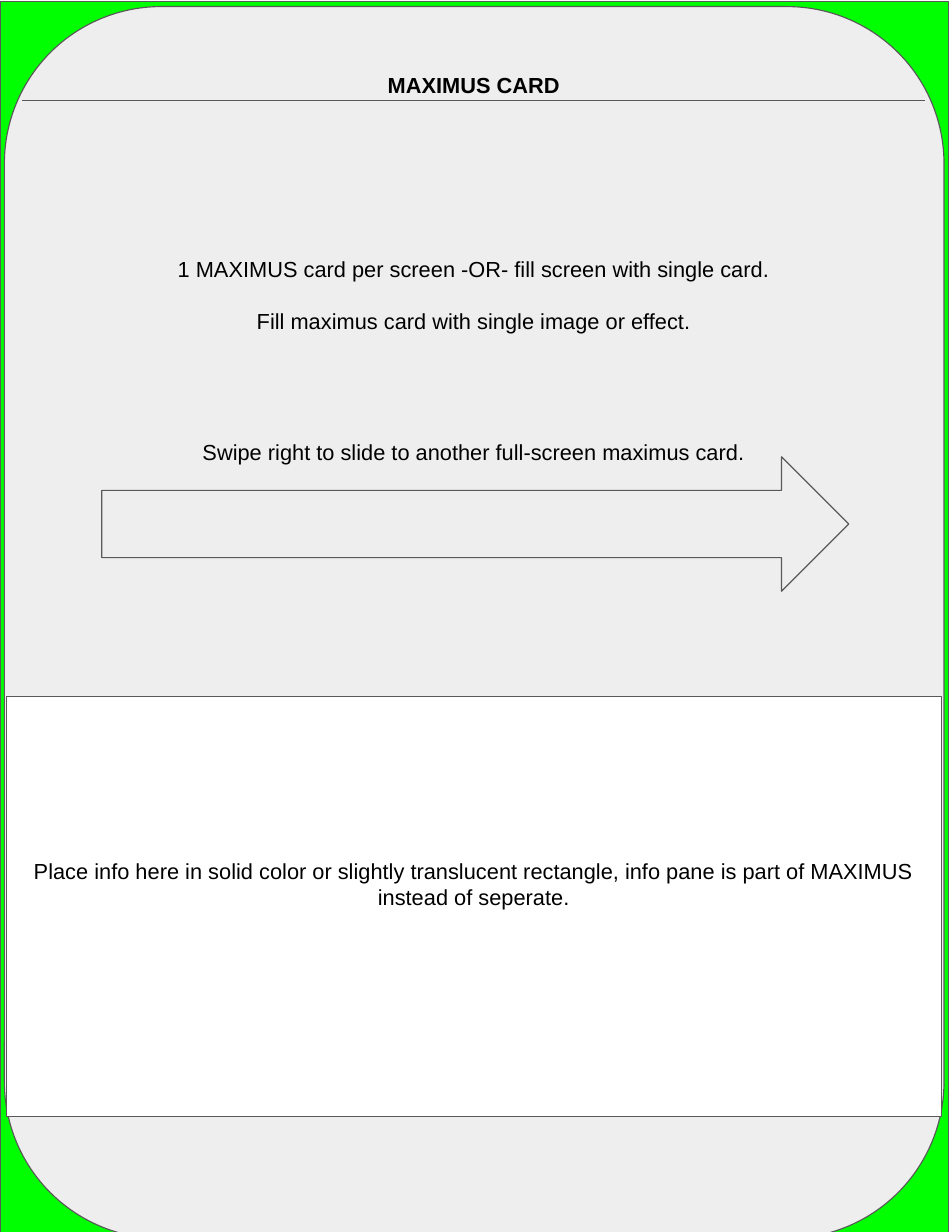
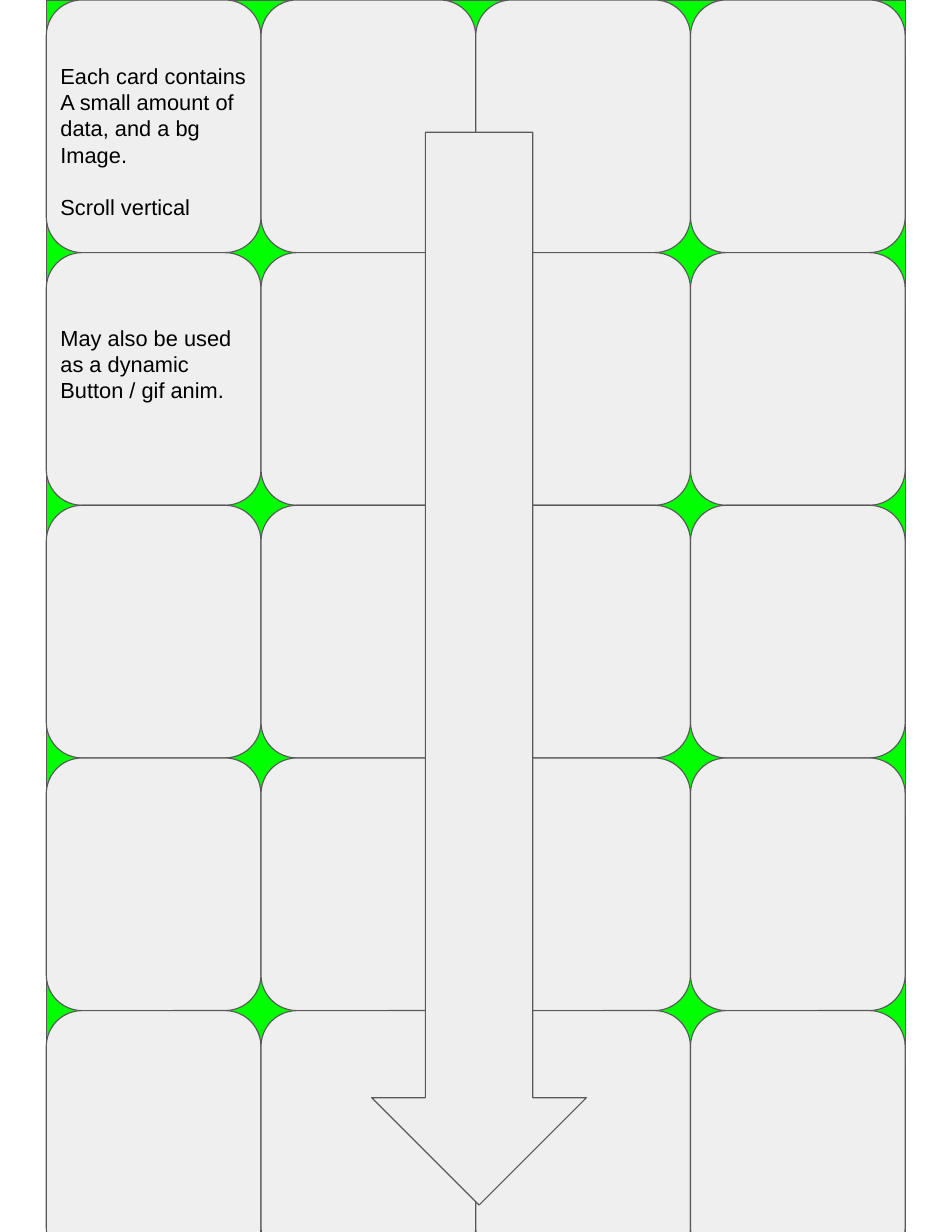
from lxml.etree import SubElement
from pptx import Presentation
from pptx.dml.color import RGBColor
from pptx.enum.shapes import MSO_CONNECTOR, MSO_SHAPE
from pptx.enum.text import MSO_ANCHOR, MSO_AUTO_SIZE, PP_ALIGN
from pptx.oxml.ns import qn
from pptx.util import Cm, Pt

# Shared look
GREEN = RGBColor(0x00, 0xFF, 0x00)
GREY = RGBColor(0xEE, 0xEE, 0xEE)
CARD = RGBColor(0xEF, 0xEF, 0xEF)
WHITE = RGBColor(0xFF, 0xFF, 0xFF)
BLACK = RGBColor(0x00, 0x00, 0x00)
EDGE = RGBColor(0x59, 0x59, 0x59)
WIDE, HIGH = 21.59, 27.94
PITCH = 16.84  # points from one text line to the next
ROUND = 0.167

INSET = Cm(0.25)
FRAME = {"word_wrap": True, "auto_size": MSO_AUTO_SIZE.NONE,
         "vertical_anchor": MSO_ANCHOR.TOP, "margin_left": INSET,
         "margin_right": INSET, "margin_top": INSET, "margin_bottom": INSET}
FONT = {"name": "Arial", "size": Pt(14)}


def assign(item, values):
    for name, value in values.items():
        setattr(item, name, value)


def place(item, box):
    names = ("left", "top", "width", "height")
    assign(item, dict(zip(names, map(Cm, box))))


def add_shape(slide, kind, box, fill, adjust=None):
    shape = slide.shapes.add_shape(kind, *map(Cm, box))
    shape.shadow.inherit = False
    shape.fill.solid()
    shape.fill.fore_color.rgb = fill
    shape.line.color.rgb = EDGE
    shape.line.width = Pt(0.75)
    if adjust is not None:
        shape.adjustments[0] = adjust


def add_rule(slide, left, right, top):
    rule = slide.shapes.add_connector(
        MSO_CONNECTOR.STRAIGHT, Cm(left), Cm(top), Cm(right), Cm(top))
    rule.line.color.rgb = EDGE
    rule.line.width = Pt(0.75)
    SubElement(rule.element.spPr, qn("a:effectLst"))


def fill_text(holder, box, lines, align, bold=False):
    """Fill a placeholder; each line is (blank lines above it, text)."""
    place(holder, box)
    holder.element.getparent().append(holder.element)  # above the shapes so far
    frame = holder.text_frame
    assign(frame, FRAME)
    for index, (gap, text) in enumerate(lines):
        para = frame.add_paragraph() if index else frame.paragraphs[0]
        para.text = text
        assign(para, {"alignment": align, "line_spacing": Pt(PITCH),
                      "space_before": Pt(gap * PITCH), "space_after": Pt(0)})
        assign(para.font, {**FONT, "bold": bold})
        para.font.color.rgb = BLACK
        # No bullet, no indent
        props = para._p.get_or_add_pPr()
        props.set("marL", "0")
        props.set("indent", "0")
        props.insert_element_before(
            props.makeelement(qn("a:buNone"), {}), "a:tabLst", "a:defRPr")


def draw_max(deck):
    slide = deck.slides.add_slide(deck.slide_layouts[1])
    # Backdrop, card and info pane
    add_shape(slide, MSO_SHAPE.RECTANGLE, (0, 0.03, 21.51, HIGH), GREEN)
    add_shape(slide, MSO_SHAPE.ROUNDED_RECTANGLE,
              (0.1, 0.15, 21.31, HIGH), GREY, ROUND)
    add_shape(slide, MSO_SHAPE.RECTANGLE, (0.15, 15.8, 21.21, 9.53), WHITE)
    # Title and notes
    fill_text(slide.shapes.title, (-0.1, 1.37, 21.69, 1.1),
              [(0, "MAXIMUS CARD")], PP_ALIGN.CENTER, True)
    fill_text(slide.placeholders[1], (-0.1, 5.54, 21.69, 22.38), [
        (0, "1 MAXIMUS card per screen -OR- fill screen with single card."),
        (1, "Fill maximus card with single image or effect."),
        (4, "Swipe right to slide to another full-screen maximus card."),
        (15, "Place info here in solid color or slightly translucent "
             "rectangle, info pane is part of MAXIMUS instead of seperate."),
    ], PP_ALIGN.CENTER)
    # Title rule and swipe arrow
    add_rule(slide, 0.5, 20.98, 2.28)
    add_shape(slide, MSO_SHAPE.RIGHT_ARROW, (2.31, 10.36, 16.94, 3.05), GREY)


def draw_grid(deck):
    slide = deck.slides.add_slide(deck.slide_layouts[1])
    title = slide.shapes.title.element
    title.getparent().remove(title)
    # Backdrop and cards
    left, width, height = 1.05, 4.87, 5.73
    rows, cols = 5, 4
    add_shape(slide, MSO_SHAPE.RECTANGLE, (left, 0, cols * width, HIGH), GREEN)
    for row in range(rows):
        for col in range(cols):
            box = (left + col * width, row * height, width, height)
            add_shape(slide, MSO_SHAPE.ROUNDED_RECTANGLE, box, CARD, ROUND)
    # Card notes
    fill_text(slide.placeholders[1], (1.12, 1.17, 19.53, 26.5), [
        (0, "Each card contains"),
        (0, "A small amount of"),
        (0, "data, and a bg"),
        (0, "Image."),
        (1, "Scroll vertical"),
        (4, "May also be used"),
        (0, "as a dynamic"),
        (0, "Button / gif anim."),
    ], PP_ALIGN.LEFT)
    # Scroll arrow
    add_shape(slide, MSO_SHAPE.DOWN_ARROW, (8.43, 3, width, 24.33), GREY)


def main():
    deck = Presentation()
    assign(deck, {"slide_width": Cm(WIDE), "slide_height": Cm(HIGH)})
    draw_max(deck)
    draw_grid(deck)
    deck.save("out.pptx")


if __name__ == "__main__":
    main()
